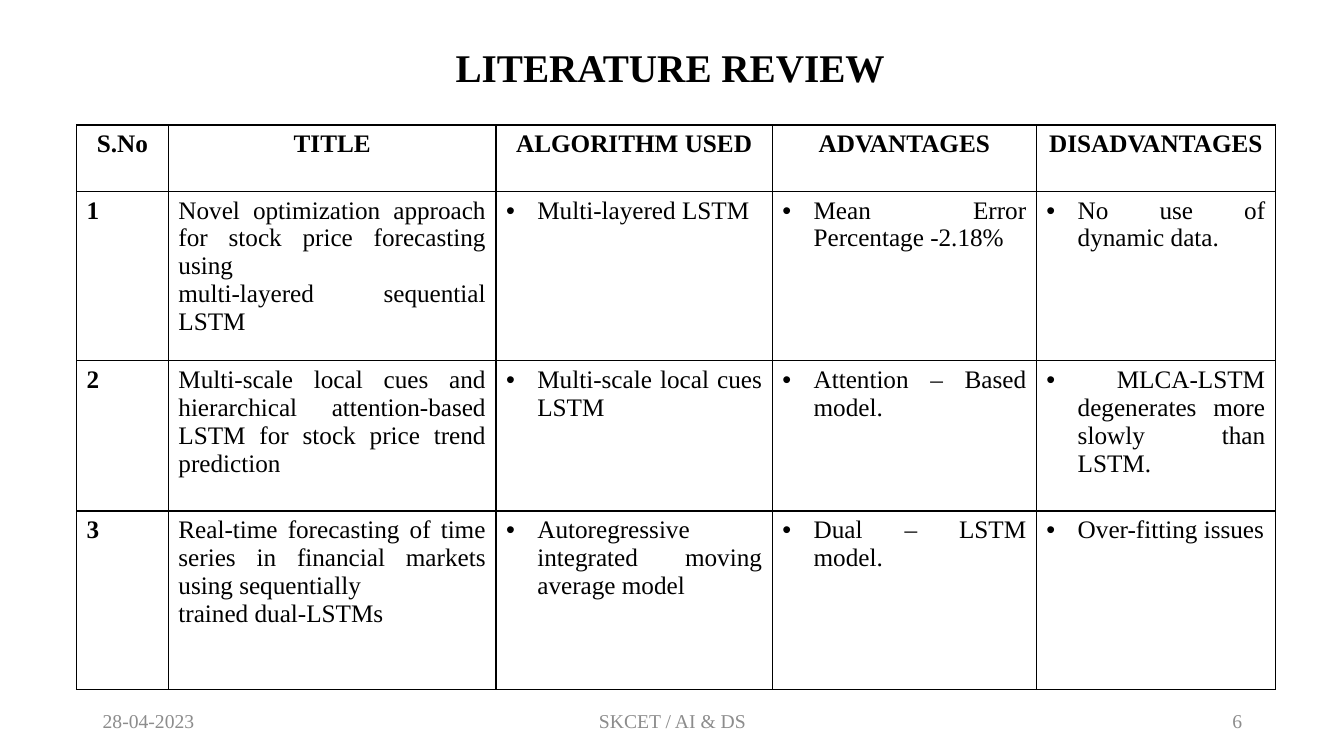
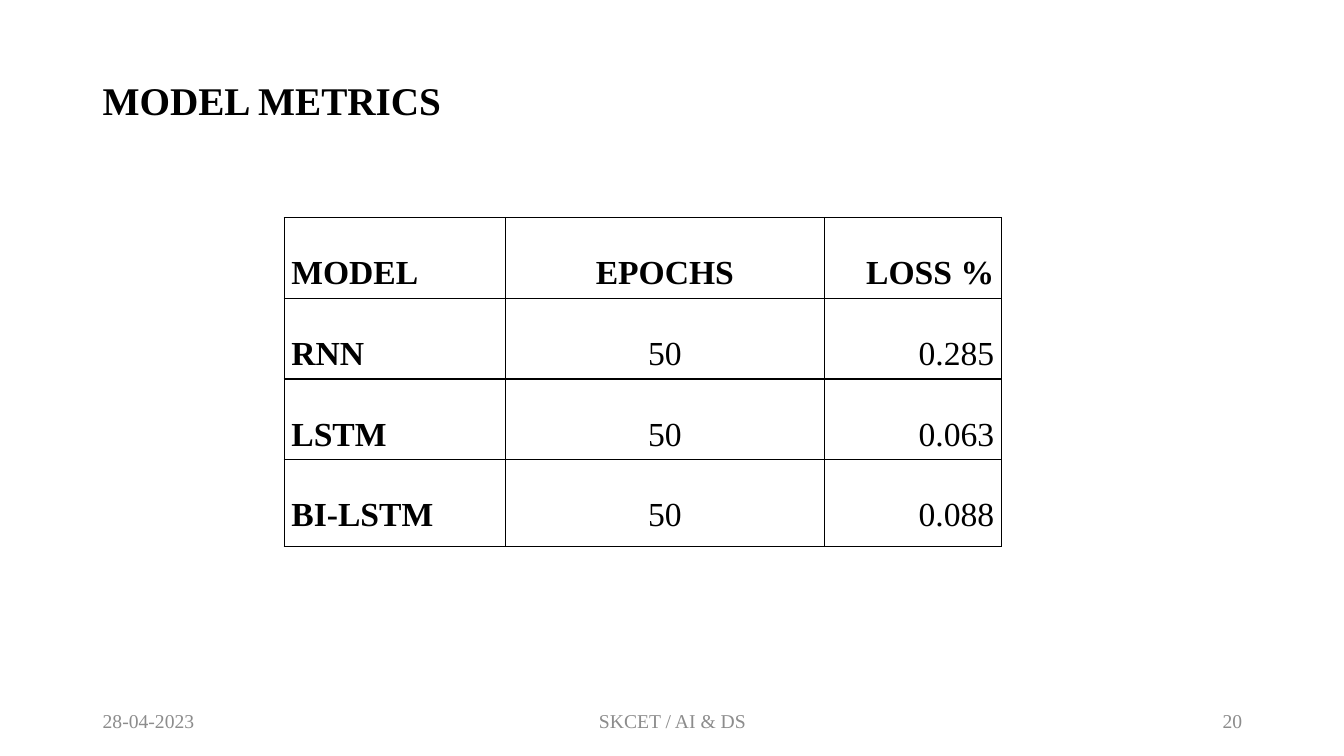
from dataclasses import dataclass

from lxml.etree import SubElement
from pptx import Presentation
from pptx.dml.color import RGBColor
from pptx.enum.text import MSO_ANCHOR, PP_ALIGN
from pptx.oxml import parse_xml
from pptx.oxml.ns import nsdecls, qn
from pptx.util import Inches, Pt


@dataclass(frozen=True)
class Theme:
    font: str = "Times New Roman"
    ink: str = "000000"
    muted: str = "8C8C8C"
    background: str = "FFFFFF"
    title_size: int = 28
    review_size: int = 18
    metrics_size: int = 24
    footer_size: int = 14
    border_width: int = 1
    bullet_indent: float = 0.31


THEME = Theme()
LEFT, CENTER, RIGHT, JUSTIFY = (
    PP_ALIGN.LEFT, PP_ALIGN.CENTER, PP_ALIGN.RIGHT, PP_ALIGN.JUSTIFY)

DATE = "28-04-2023"
DEPARTMENT = "SKCET / AI & DS"

REVIEW_ROWS = [
    ["S.No", "TITLE", "ALGORITHM USED", "ADVANTAGES", "DISADVANTAGES"],
    ["1",
     "Novel optimization approach for stock price forecasting using\n"
     "multi-layered sequential LSTM",
     "Multi-layered LSTM", "Mean Error Percentage -2.18%",
     "No use of dynamic data."],
    ["2",
     "Multi-scale local cues and hierarchical attention-based LSTM "
     "for stock price trend prediction",
     "Multi-scale local cues LSTM", "Attention – Based model.",
     " MLCA-LSTM degenerates more slowly than LSTM."],
    ["3",
     "Real-time forecasting of time series in financial markets "
     "using sequentially\ntrained dual-LSTMs",
     "Autoregressive integrated moving average model",
     "Dual – LSTM model.", "Over-fitting issues"],
]

METRICS_ROWS = [
    ["MODEL", "EPOCHS", "LOSS %"],
    ["RNN", "50", "0.285"],
    ["LSTM", "50", "0.063"],
    ["BI-LSTM", "50", "0.088"],
]


def add_bullet(paragraph):
    """Give a paragraph a hanging round bullet."""
    properties = paragraph._p.get_or_add_pPr()
    indent = Inches(THEME.bullet_indent)
    properties.set("marL", str(indent))
    properties.set("indent", str(-indent))
    SubElement(properties, qn("a:buFont"), typeface="Arial")
    SubElement(properties, qn("a:buChar"), char="•")


def write_text(text_frame, text, size, color=THEME.ink, bold=False,
               align=LEFT, bullet=False, line_spacing=None, space_after=None):
    """Write one paragraph for each line of text."""
    for index, line in enumerate(text.split("\n")):
        paragraph = (text_frame.add_paragraph() if index
                     else text_frame.paragraphs[0])
        paragraph.alignment = align
        if line_spacing:
            paragraph.line_spacing = line_spacing
        if space_after:
            paragraph.space_after = Pt(space_after)
        if bullet:
            add_bullet(paragraph)
        run = paragraph.add_run()
        run.text = line
        run.font.name = THEME.font
        run.font.size = Pt(size)
        run.font.bold = bold
        run.font.color.rgb = RGBColor.from_string(color)


def add_text(slide, box, text, anchor=MSO_ANCHOR.TOP, **text_format):
    shape = slide.shapes.add_textbox(*map(Inches, box))
    shape.text_frame.word_wrap = True
    shape.text_frame.vertical_anchor = anchor
    write_text(shape.text_frame, text, **text_format)


def add_title(slide, box, text):
    add_text(slide, box, text, size=THEME.title_size, bold=True)


def add_footer(slide, box, number):
    """Place date, department and slide number along a band."""
    left, top, width, height = box
    side, middle = 3, 4.5
    parts = [
        (left, side, DATE, LEFT),
        (left + (width - middle) / 2, middle, DEPARTMENT, CENTER),
        (left + width - side, side, str(number), RIGHT),
    ]
    for part_left, part_width, text, align in parts:
        add_text(slide, (part_left, top, part_width, height), text,
                 anchor=MSO_ANCHOR.MIDDLE, size=THEME.footer_size,
                 color=THEME.muted, align=align)


def outline_cell(cell):
    """Clear the fill and draw all four borders."""
    cell.fill.background()
    properties = cell._tc.get_or_add_tcPr()
    for position, side in enumerate(("lnL", "lnR", "lnT", "lnB")):
        properties.insert(position, parse_xml(
            f'<a:{side} {nsdecls("a")} w="{Pt(THEME.border_width)}">'
            f'<a:solidFill><a:srgbClr val="{THEME.ink}"/></a:solidFill>'
            f'</a:{side}>'))


def add_grid(slide, origin, widths, heights, rows, cell_format, margins=None):
    """Add a ruled table; cell_format(row, column) gives the text format."""
    left, top = origin
    table = slide.shapes.add_table(
        len(rows), len(widths), Inches(left), Inches(top),
        Inches(sum(widths)), Inches(sum(heights))).table
    table.first_row = table.horz_banding = False
    for column, width in zip(table.columns, widths):
        column.width = Inches(width)
    for row, height in zip(table.rows, heights):
        row.height = Inches(height)
    for row_index, values in enumerate(rows):
        for column_index, text in enumerate(values):
            cell = table.cell(row_index, column_index)
            outline_cell(cell)
            if margins:
                side, vertical = map(Inches, margins)
                cell.margin_left = cell.margin_right = side
                cell.margin_top = cell.margin_bottom = vertical
            write_text(cell.text_frame, text,
                       **cell_format(row_index, column_index))


def review_format(row, column):
    return dict(size=THEME.review_size, bold=row == 0 or column == 0,
                align=JUSTIFY if row else CENTER,
                bullet=row > 0 and column > 1)


def metrics_format(row, column):
    return dict(size=THEME.metrics_size, bold=row == 0 or column == 0,
                align=(LEFT, CENTER, RIGHT)[column],
                line_spacing=2.0, space_after=8)


def new_slide(presentation, number):
    slide = presentation.slides.add_slide(presentation.slide_layouts[6])
    slide.background.fill.solid()
    slide.background.fill.fore_color.rgb = RGBColor.from_string(
        THEME.background)
    add_footer(slide, (0.92, 6.95, 11.5, 0.4), number)
    return slide


def add_review_slide(presentation):
    slide = new_slide(presentation, 6)
    add_grid(slide, (0.76, 1.24), [0.91, 3.25, 2.74, 2.62, 2.37],
             [0.66, 1.68, 1.49, 1.77], REVIEW_ROWS, review_format)
    add_title(slide, (4.42, 0.38, 4.49, 0.57), "LITERATURE REVIEW")


def add_metrics_slide(presentation):
    slide = new_slide(presentation, 20)
    add_title(slide, (0.92, 0.71, 6.84, 0.57), "MODEL METRICS")
    add_grid(slide, (2.82, 2.16), [2.19, 3.17, 1.75],
             [0.8, 0.8, 0.8, 0.86], METRICS_ROWS, metrics_format,
             margins=(0.07, 0))


def main():
    presentation = Presentation()
    presentation.slide_width = Inches(13.33)
    presentation.slide_height = Inches(7.5)
    add_review_slide(presentation)
    add_metrics_slide(presentation)
    presentation.save("out.pptx")


if __name__ == "__main__":
    main()
